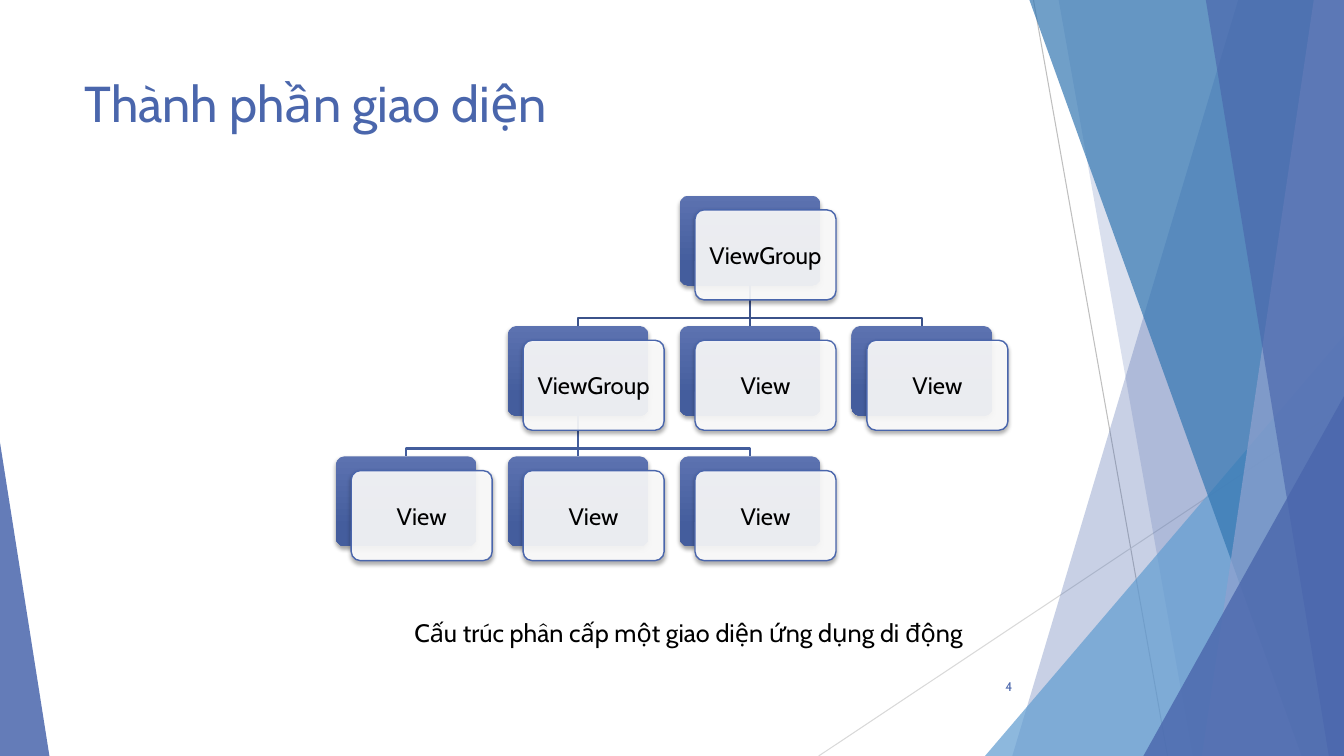
from lxml import etree
from pptx import Presentation
from pptx.dml.color import RGBColor
from pptx.enum.shapes import MSO_CONNECTOR, MSO_SHAPE
from pptx.enum.text import MSO_ANCHOR, PP_ALIGN
from pptx.oxml.ns import qn
from pptx.util import Inches, Pt

STRAIGHT = MSO_CONNECTOR.STRAIGHT
TRIANGLE, ROUNDED = MSO_SHAPE.ISOSCELES_TRIANGLE, MSO_SHAPE.ROUNDED_RECTANGLE
LEFT, CENTER, RIGHT = PP_ALIGN.LEFT, PP_ALIGN.CENTER, PP_ALIGN.RIGHT
TOP, MIDDLE = MSO_ANCHOR.TOP, MSO_ANCHOR.MIDDLE

SLIDE_W, SLIDE_H = 13.33, 7.5
FONT = "Cabin"
BLUE = "4A66AC"
EDGE_COLORS = ["3B528A", "435D9C"]  # by row of the parent

# name: (column, row, label, parent)
NODES = {
    "root": (2, 0, "ViewGroup", None),
    "group": (1, 1, "ViewGroup", "root"),
    "middle": (2, 1, "View", "root"),
    "right": (3, 1, "View", "root"),
    "leaf 1": (0, 2, "View", "group"),
    "leaf 2": (1, 2, "View", "group"),
    "leaf 3": (2, 2, "View", "group"),
}


def rgb(color):
    return RGBColor.from_string(color)


def box_of(*lengths):
    return [Inches(length) for length in lengths]


def paint(sp, color, opacity):
    """Give a shape a see-through fill, with no line and no shadow."""
    sp.shadow.inherit = False
    sp.fill.solid()
    sp.fill.fore_color.rgb = rgb(color)
    sp.line.fill.background()
    clr = sp.element.spPr.find(qn("a:solidFill")).find(qn("a:srgbClr"))
    etree.SubElement(clr, qn("a:alpha"), val=str(opacity * 1000))


def add_soft_shadow(sp):
    sp.shadow.inherit = False
    effects = sp.element.spPr.find(qn("a:effectLst"))
    shadow = etree.SubElement(effects, qn("a:outerShdw"), blurRad=str(Pt(3)),
                              dist=str(Pt(2)), dir="5400000", rotWithShape="0")
    clr = etree.SubElement(shadow, qn("a:srgbClr"), val="000000")
    etree.SubElement(clr, qn("a:alpha"), val="35000")


def add_line(s, start, end, color, width):
    line = s.shapes.add_connector(STRAIGHT, *box_of(*start, *end))
    line.line.color.rgb = rgb(color)
    line.line.width = Pt(width)
    etree.SubElement(line.element.spPr, qn("a:effectLst"))
    return line


def add_path(s, points, close):
    start, *rest = [box_of(*point) for point in points]
    builder = s.shapes.build_freeform(*start, scale=1.0)
    builder.add_line_segments(rest, close=close)
    return builder.convert_to_shape()


def write(tf, text, size, color, align, anchor):
    tf.word_wrap = True
    tf.vertical_anchor = anchor
    p = tf.paragraphs[0]
    p.alignment = align
    r = p.add_run()
    r.text = text
    r.font.name = FONT
    r.font.size = Pt(size)
    r.font.color.rgb = rgb(color)


def add_text(s, box, text, size, color, align=LEFT, anchor=TOP):
    tf = s.shapes.add_textbox(*box_of(*box)).text_frame
    write(tf, text, size, color, align, anchor)


def add_wedge(s, box, corner, color, opacity):
    """Add a right-angled triangle; corner is 0 for left, 1 for right."""
    sp = s.shapes.add_shape(TRIANGLE, *box_of(*box))
    sp.adjustments[0] = corner
    paint(sp, color, opacity)


def add_facets(s, box):
    """Layer the facets of the right side; reaches run left from its edge."""
    left, top, width, height = box
    right, bottom = left + width, top + height

    def slab(top_reach, bottom_reach, color, opacity):
        points = [(right - top_reach, top), (right, top),
                  (right, bottom), (right - bottom_reach, bottom)]
        paint(add_path(s, points, True), color, opacity)

    def corner(reach, rise, color, opacity):
        add_wedge(s, (right - reach, bottom - rise, reach, rise), 1, color, opacity)

    add_line(s, (right - 3.08, top), (right - 1.75, bottom), "BFBFBF", 0.75)
    add_line(s, (right, top + 4.03), (right - 5.21, bottom), "D9D9D9", 0.75)
    slab(1.05, 3.29, BLUE, 30)
    slab(2.83, 1.5, BLUE, 20)
    corner(3.56, 4.17, "629DD1", 72)
    slab(3.12, 0.42, "3477B2", 70)
    slab(0.3, 1.41, "90A2CF", 70)
    slab(1.37, 0.15, BLUE, 65)
    corner(1.99, 3.57, BLUE, 80)


def add_back_card(s, box):
    sp = s.shapes.add_shape(ROUNDED, *box_of(*box))
    sp.adjustments[0] = 0.1
    sp.fill.gradient()
    sp.fill.gradient_angle = 270
    for stop, (position, color) in zip(sp.fill.gradient_stops,
                                       [(0, "5C72B0"), (0.78, "445D9D")]):
        stop.position = position
        stop.color.rgb = rgb(color)
    sp.line.fill.background()
    add_soft_shadow(sp)
    return sp


def add_front_card(s, box, label):
    sp = s.shapes.add_shape(ROUNDED, *box_of(*box))
    sp.adjustments[0] = 0.1
    paint(sp, "FFFFFF", 90)
    sp.line.color.rgb = rgb(BLUE)
    sp.line.width = Pt(1)
    add_soft_shadow(sp)
    tf = sp.text_frame
    tf.margin_left = tf.margin_right = tf.margin_top = tf.margin_bottom = Inches(0.07)
    write(tf, label, 17, "000000", CENTER, MIDDLE)


def add_tree(s, box, columns=4, rows=3):
    """Draw back cards, then edges, then labelled cards on a grid."""
    left, top, width, height = box
    cell_w, cell_h = width / columns, height / rows
    card_w, card_h = 0.82 * cell_w, 0.69 * cell_h
    shift_x, shift_y = 0.09 * cell_w, 0.11 * cell_h

    spots = {name: (left + col * cell_w, top + row * cell_h)
             for name, (col, row, _, _) in NODES.items()}
    backs = {name: add_back_card(s, (x, y, card_w, card_h))
             for name, (x, y) in spots.items()}

    for name, (col, _, _, parent) in NODES.items():
        if parent is None:
            continue
        parent_col, parent_row = NODES[parent][:2]
        color = EDGE_COLORS[parent_row]
        x1, y1 = spots[parent][0] + card_w / 2, spots[parent][1] + card_h
        x2, y2 = spots[name][0] + card_w / 2, spots[name][1]
        if col == parent_col:
            edge = add_line(s, (x1, y1), (x2, y2), color, 1.5)
            edge.begin_connect(backs[parent], 2)
            edge.end_connect(backs[name], 0)
            continue
        bend = y1 + 0.81 * (y2 - y1)
        edge = add_path(s, [(x1, y1), (x1, bend), (x2, bend), (x2, y2)], False)
        edge.shadow.inherit = False
        edge.fill.background()
        edge.line.color.rgb = rgb(color)
        edge.line.width = Pt(1.5)

    for name, (x, y) in spots.items():
        add_front_card(s, (x + shift_x, y + shift_y, card_w, card_h), NODES[name][2])


def main():
    prs = Presentation()
    prs.slide_width, prs.slide_height = box_of(SLIDE_W, SLIDE_H)
    s = prs.slides.add_slide(prs.slide_layouts[6])
    add_facets(s, (0, 0, SLIDE_W, SLIDE_H))
    add_wedge(s, (0, SLIDE_H - 3.11, 0.49, 3.11), 0, BLUE, 85)
    add_text(s, (0.74, 0.67, 9.4, 1.44), "Thành phần giao diện", 36, BLUE)
    add_text(s, (9.39, 6.61, 0.75, 0.4), "4", 9, BLUE, RIGHT, MIDDLE)
    add_tree(s, (3.33, 1.94, 6.82, 3.88))
    add_text(s, (3.83, 6.08, 6, 0.4),
             "Cấu trúc phân cấp một giao diện ứng dụng di động", 18, "000000", CENTER)
    prs.save("out.pptx")


if __name__ == "__main__":
    main()
